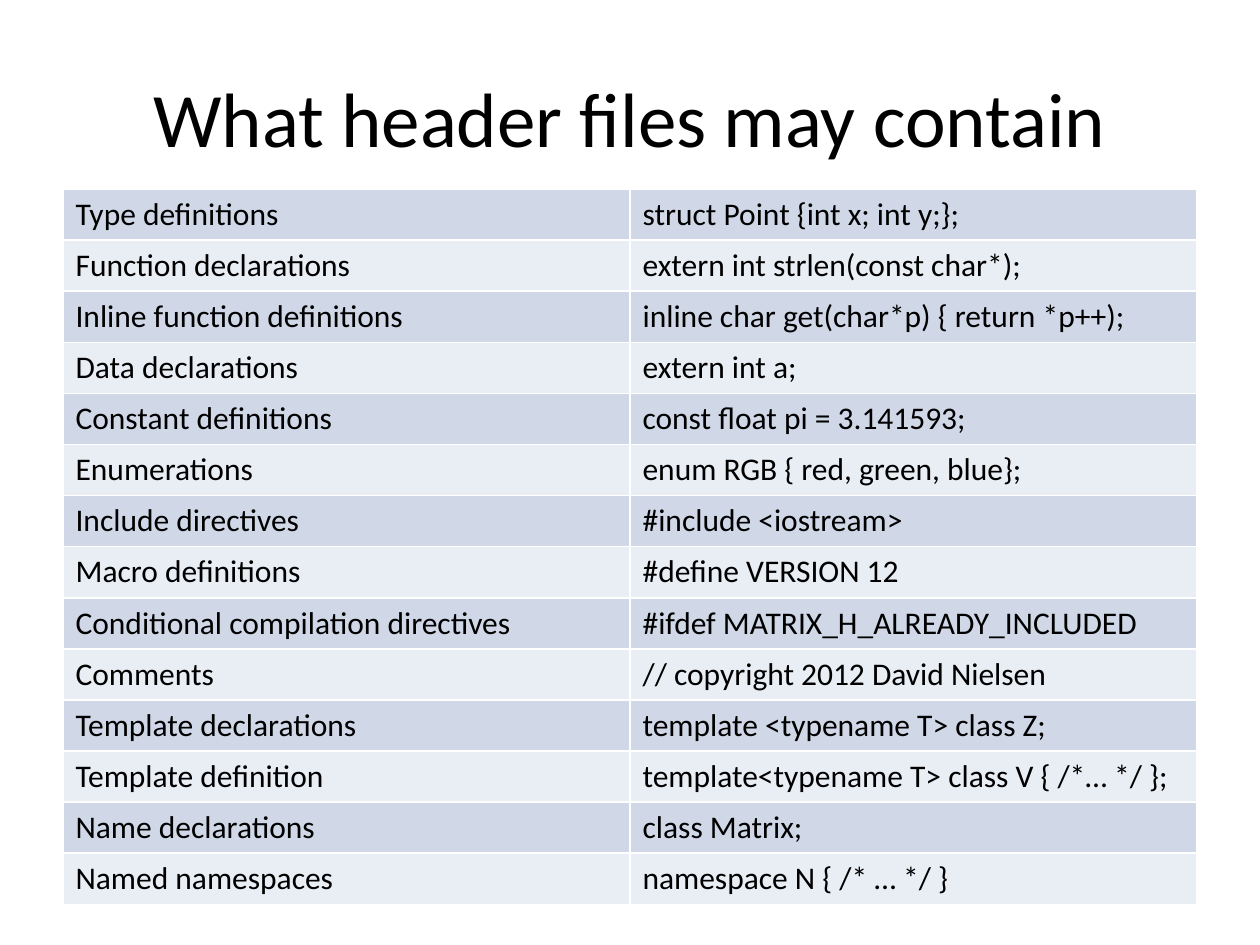
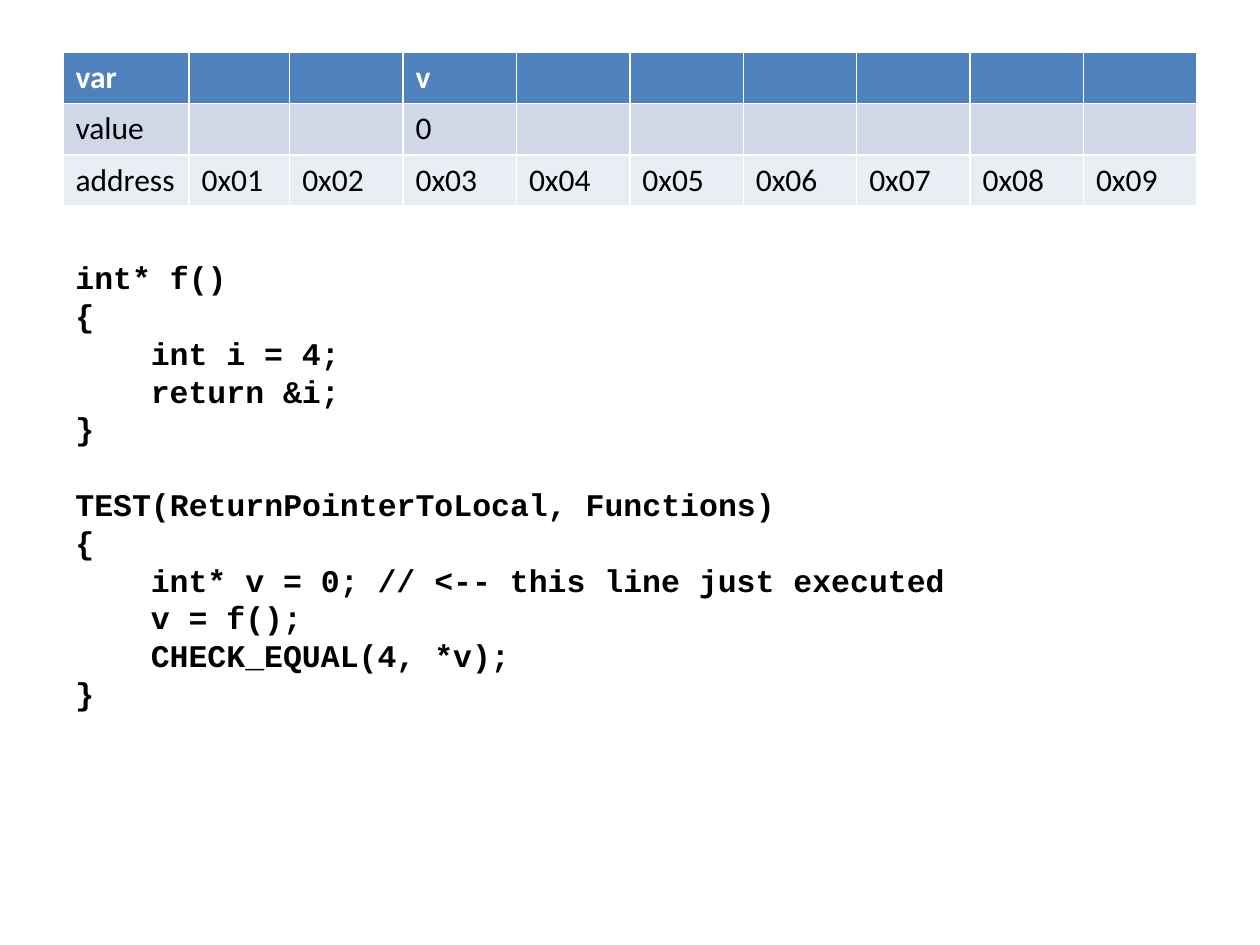
from dataclasses import dataclass

from pptx import Presentation
from pptx.dml.color import RGBColor
from pptx.enum.text import MSO_ANCHOR, MSO_AUTO_SIZE, PP_ALIGN
from pptx.util import Cm, Pt


@dataclass(frozen=True)
class Theme:
    """Colours, fonts and type sizes shared by the slides."""
    ink: RGBColor = RGBColor(0x00, 0x00, 0x00)
    paper: RGBColor = RGBColor(0xFF, 0xFF, 0xFF)
    header: RGBColor = RGBColor(0x4F, 0x81, 0xBD)
    bands: tuple = (RGBColor(0xD0, 0xD8, 0xE8), RGBColor(0xE9, 0xED, 0xF4))
    sans: str = "Calibri"
    mono: str = "Courier New"
    title: Pt = Pt(44)
    body: Pt = Pt(18)
    code_line: Pt = Pt(21.6)
    code_indent: Cm = Cm(1.52)


THEME = Theme()
LEFT, WIDTH = Cm(1.27), Cm(22.86)

HEADER_CONTENTS = [
    ("Type definitions", "struct Point {int x; int y;};"),
    ("Function declarations", "extern int strlen(const char*);"),
    ("Inline function definitions", "inline char get(char*p) { return *p++);"),
    ("Data declarations", "extern int a;"),
    ("Constant definitions", "const float pi = 3.141593;"),
    ("Enumerations", "enum RGB { red, green, blue};"),
    ("Include directives", "#include <iostream>"),
    ("Macro definitions", "#define VERSION 12"),
    ("Conditional compilation directives", "#ifdef MATRIX_H_ALREADY_INCLUDED"),
    ("Comments", "// copyright 2012 David Nielsen"),
    ("Template declarations", "template <typename T> class Z;"),
    ("Template definition", "template<typename T> class V { /*… */ };"),
    ("Name declarations", "class Matrix;"),
    ("Named namespaces", "namespace N { /* … */ }"),
]

ADDRESSES = [f"0x{n:02}" for n in range(1, 10)]
V_ADDRESS = "0x03"
MEMORY = [
    ["var"] + ["v" if a == V_ADDRESS else "" for a in ADDRESSES],
    ["value"] + ["0" if a == V_ADDRESS else "" for a in ADDRESSES],
    ["address"] + ADDRESSES,
]

CODE_BLOCKS = [
    [(0, "int* f()"), (0, "{"), (1, "int i = 4;"), (1, "return &i;"), (0, "}")],
    [
        (0, "TEST(ReturnPointerToLocal, Functions)"),
        (0, "{"),
        (1, "int* v = 0; // <-- this line just executed"),
        (1, "v = f();"),
        (1, "CHECK_EQUAL(4, *v);"),
        (0, "}"),
    ],
]


def add_run(p, text, size, color=THEME.ink, font=THEME.sans, bold=False):
    """Append one formatted run to a paragraph."""
    r = p.add_run()
    r.text = text
    r.font.name, r.font.size, r.font.bold = font, size, bold
    r.font.color.rgb = color


def place_title(s, text, left, top, width, height):
    """Move and fill the title placeholder."""
    sp = s.shapes.title
    sp.left, sp.top, sp.width, sp.height = left, top, width, height
    sp.text_frame.vertical_anchor = MSO_ANCHOR.MIDDLE
    p = sp.text_frame.paragraphs[0]
    p.alignment = PP_ALIGN.CENTER
    add_run(p, text, THEME.title)


def place_table(s, rows, left, top, col_widths, row_height, has_header=False):
    """Draw a banded table, with or without a header row."""
    table = s.shapes.add_table(
        len(rows), len(col_widths), left, top, sum(col_widths), row_height * len(rows)
    ).table
    table.first_row = has_header
    for column, width in zip(table.columns, col_widths):
        column.width = width
    for i, texts in enumerate(rows):
        is_header = has_header and i == 0
        fill = THEME.header if is_header else THEME.bands[(i - has_header) % 2]
        color = THEME.paper if is_header else THEME.ink
        for cell, text in zip(table.rows[i].cells, texts):
            cell.fill.solid()
            cell.fill.fore_color.rgb = fill
            p = cell.text_frame.paragraphs[0]
            p.font.size = THEME.body
            if text:
                add_run(p, text, THEME.body, color, bold=is_header)


def place_code(s, blocks, left, top, width, height):
    """Set code blocks in a text box, one line of space between blocks."""
    tf = s.shapes.add_textbox(left, top, width, height).text_frame
    tf.word_wrap = True
    tf.auto_size = MSO_AUTO_SIZE.SHAPE_TO_FIT_TEXT
    p = tf.paragraphs[0]
    for b, block in enumerate(blocks):
        for n, (level, text) in enumerate(block):
            if b or n:
                p = tf.add_paragraph()
            if b and n == 0:
                p.space_before = THEME.code_line
            if level:
                p._p.get_or_add_pPr().set("marL", str(level * THEME.code_indent))
            add_run(p, text, THEME.body, font=THEME.mono, bold=True)


def header_files_slide(prs):
    """Build the slide listing what header files may contain."""
    s = prs.slides.add_slide(prs.slide_layouts[5])
    place_title(s, "What header files may contain", LEFT, Cm(0.76), WIDTH, Cm(3.18))
    place_table(s, HEADER_CONTENTS, LEFT, Cm(3.81), [WIDTH // 2] * 2, Cm(0.97))


def memory_slide(prs):
    """Build the slide with the memory table above its code."""
    s = prs.slides.add_slide(prs.slide_layouts[6])
    label, first = Cm(2.54), Cm(2.03)
    rest = len(ADDRESSES) - 1
    widths = [label, first] + [(WIDTH - label - first) // rest] * rest
    place_table(s, MEMORY, LEFT, Cm(1.06), widths, Cm(1.03), has_header=True)
    place_code(s, CODE_BLOCKS, LEFT, Cm(5.08), Cm(23.5), Cm(9.5))


def main():
    """Build and save the presentation."""
    prs = Presentation()
    prs.slide_width, prs.slide_height = Cm(25.4), Cm(19.05)
    header_files_slide(prs)
    memory_slide(prs)
    prs.save("out.pptx")


main()
